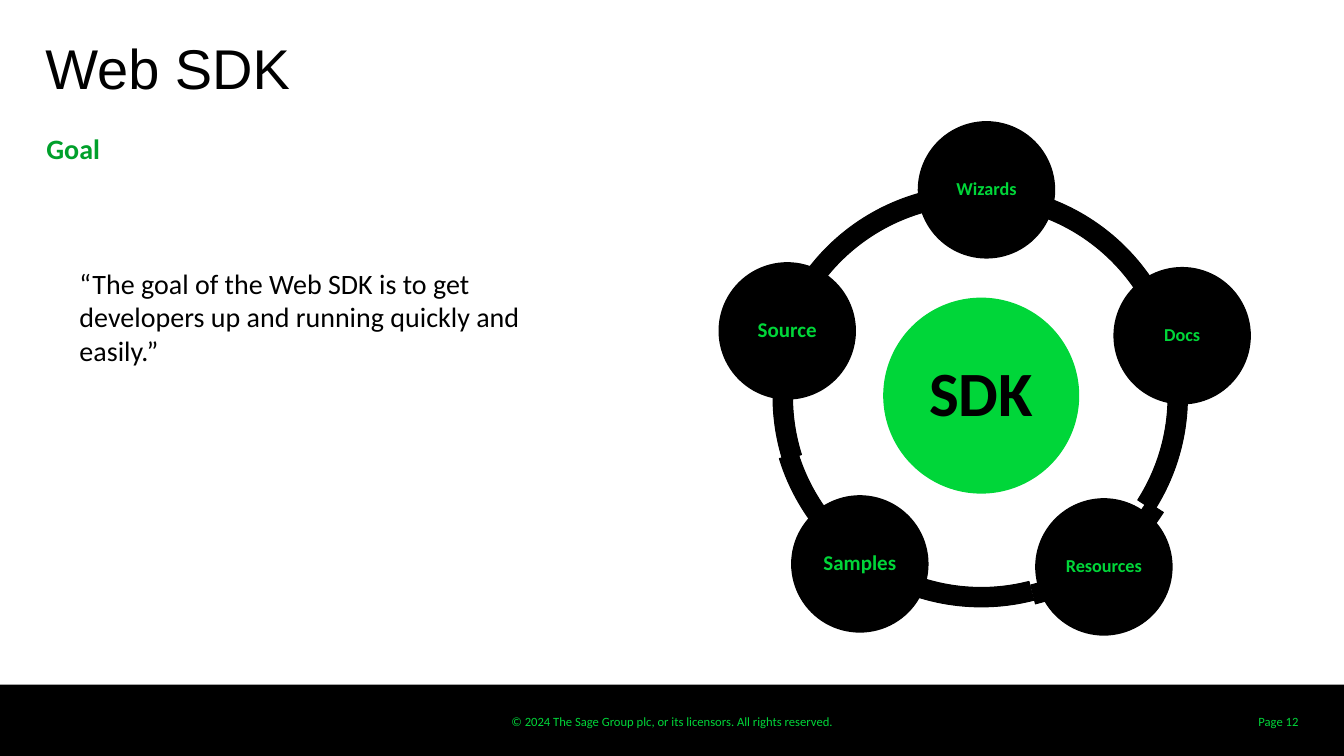
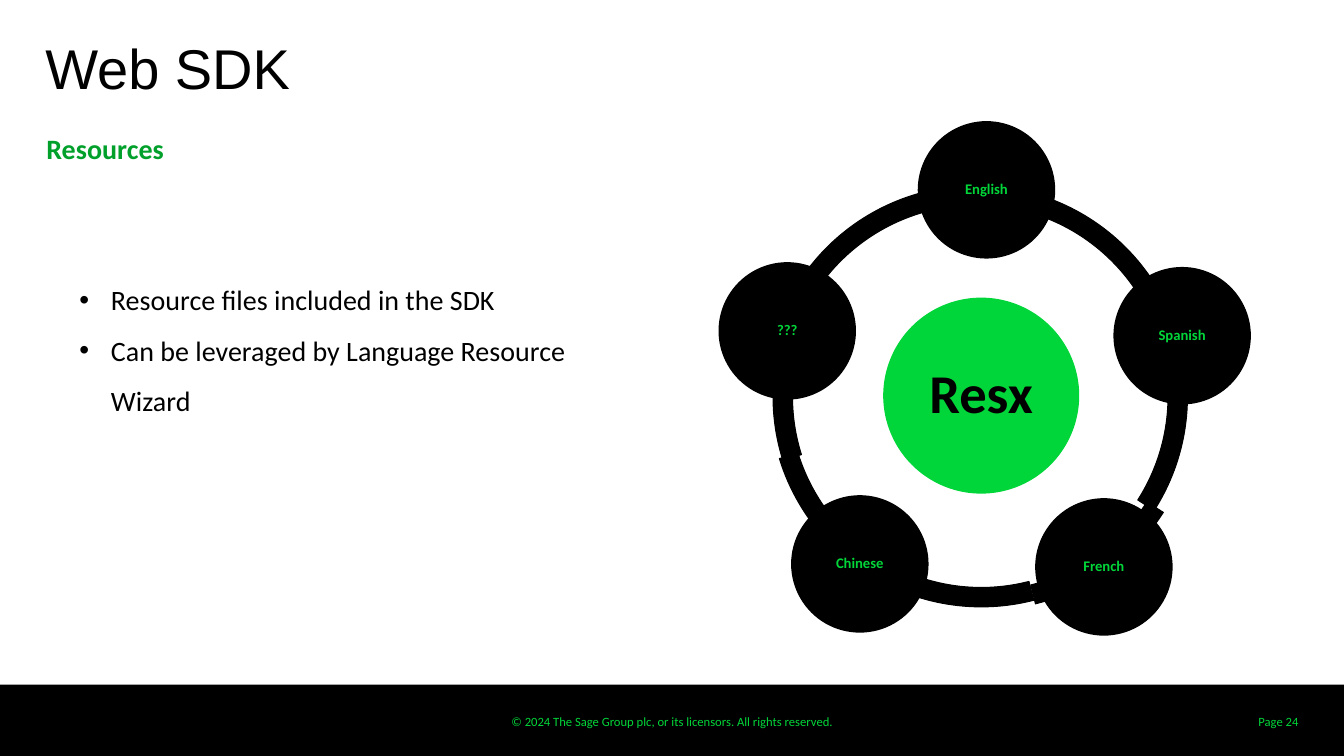
import math

from lxml import etree
from pptx import Presentation
from pptx.dml.color import RGBColor
from pptx.enum import shapes, text
from pptx.oxml import ns
from pptx.util import Pt

COLOURS = {"black": "000000", "bright": "00D639", "heading": "00A02B"}
COPYRIGHT = "© 2024 The Sage Group plc, or its licensors. All rights reserved."
SLIDES = [
    {
        "title": "Web SDK",
        "heading": "Goal",
        "page": "Page 12",
        "body": ["“The goal of the Web SDK is to get developers up and running "
                 "quickly and easily.”"],
        "bullets": False,
        "hub": ("SDK", 45),
        "nodes": [("Wizards", 13), ("Docs", 13), ("Resources", 13),
                  ("Samples", 15), ("Source", 15)],
    },
    {
        "title": "Web SDK",
        "heading": "Resources",
        "page": "Page 24",
        "body": ["Resource files included in the SDK",
                 "Can be leveraged by Language Resource Wizard"],
        "bullets": True,
        "hub": ("Resx", 39),
        "nodes": [("English", 10.5), ("Spanish", 10.5), ("French", 10.5),
                  ("Chinese", 10.5), ("???", 10.5)],
    },
]

TITLE_AREA = (32.4, 23.8, 894, 46.8)
HEADING_AREA = (33.1, 90, 893.5, 34.6)
BAND_AREA = (0, 489, 960, 51)
COPYRIGHT_AREA = (354, 506.2, 252, 18)
PAGE_AREA = (869, 501, 65.5, 28.8)
BODY_AREA = (49.7, 186.5, 382.3, 100)

WHEEL_CENTRE = (702.8, 283.9)
WHEEL_RADIUS = 148.3
FIRST_ANGLE = -89.3
NODE_SIZE = 97.2
HUB_AREA = (631.4, 213.1, 139, 139)
ARC_SIZE = 301.7
ARC_THICKNESS = 0.046
DEGREE = 0.6
ARCS = [
    (550.1, 132.5, 118.93, 162.95),
    (550.1, 131.8, 75.6, 118.8),
    (553, 133.9, 32.59, 76.29),
    (546.5, 132.5, 205.35, 32.61),
    (552.2, 132.5, 162.42, 205.63),
]


def colour(name):
    return RGBColor.from_string(COLOURS[name])


def place(shape, area):
    shape.left, shape.top, shape.width, shape.height = map(Pt, area)


def set_margins(frame, left, top):
    frame.margin_left = frame.margin_right = Pt(left)
    frame.margin_top = frame.margin_bottom = Pt(top)


def set_bullet(para, symbol=None, indent=0):
    properties = para._p.get_or_add_pPr()
    properties.set("marL", str(Pt(indent)))
    properties.set("indent", str(Pt(-indent)))
    if symbol:
        font = etree.SubElement(properties, ns.qn("a:buFont"))
        font.set("typeface", "Arial")
        etree.SubElement(properties, ns.qn("a:buChar")).set("char", symbol)
    else:
        etree.SubElement(properties, ns.qn("a:buNone"))


def style(para, size, ink, bold=False, name="Calibri", align="LEFT", spacing=None):
    para.alignment = getattr(text.PP_ALIGN, align)
    para.space_before = Pt(0)
    if spacing:
        para.line_spacing = spacing
    para.font.name = name
    para.font.size = Pt(size)
    para.font.bold = bold
    para.font.color.rgb = colour(ink)


def add_text(page, area, words, anchor="TOP", **look):
    box = page.shapes.add_textbox(*map(Pt, area))
    frame = box.text_frame
    frame.word_wrap = True
    frame.vertical_anchor = getattr(text.MSO_ANCHOR, anchor)
    frame.text = words
    for para in frame.paragraphs:
        style(para, **look)
    return box


def add_filled(page, preset, area, fill, line_width=0):
    shape = page.shapes.add_shape(preset, *map(Pt, area))
    shape.shadow.inherit = False
    shape.fill.solid()
    shape.fill.fore_color.rgb = colour(fill)
    if line_width:
        shape.line.color.rgb = colour(fill)
        shape.line.width = Pt(line_width)
    else:
        shape.line.fill.background()
    return shape


def add_disc(page, area, label, fill, ink, margin):
    words, size = label
    disc = add_filled(page, shapes.MSO_SHAPE.OVAL, area, fill, 1)
    frame = disc.text_frame
    set_margins(frame, margin, margin)
    frame.vertical_anchor = text.MSO_ANCHOR.MIDDLE
    frame.text = words
    style(frame.paragraphs[0], size, ink, bold=True, align="CENTER", spacing=0.9)


def add_wheel(page, hub, nodes):
    for left, top, start, end in ARCS:
        arc = add_filled(page, shapes.MSO_SHAPE.BLOCK_ARC,
                         (left, top, ARC_SIZE, ARC_SIZE), "black", 0.75)
        for index, value in enumerate((start * DEGREE, end * DEGREE, ARC_THICKNESS)):
            arc.adjustments[index] = value
    add_disc(page, HUB_AREA, hub, "bright", "black", 4)
    for index, label in enumerate(nodes):
        angle = math.radians(FIRST_ANGLE + index * 360 / len(nodes))
        left = WHEEL_CENTRE[0] + WHEEL_RADIUS * math.cos(angle) - NODE_SIZE / 2
        top = WHEEL_CENTRE[1] + WHEEL_RADIUS * math.sin(angle) - NODE_SIZE / 2
        add_disc(page, (left, top, NODE_SIZE, NODE_SIZE), label, "black", "bright", 1.4)


def prepare_layout(layout):
    for holder in list(layout.placeholders):
        if holder.placeholder_format.idx > 1:
            layout.shapes.element.remove(holder.element)
    for holder, area, margin in zip(layout.placeholders,
                                    (TITLE_AREA, HEADING_AREA), (0, 3.6)):
        place(holder, area)
        frame = holder.text_frame
        set_margins(frame, 0, margin)
        frame.vertical_anchor = text.MSO_ANCHOR.TOP
        frame.auto_size = text.MSO_AUTO_SIZE.NONE


def add_footer(layout, page):
    band = add_filled(page, shapes.MSO_SHAPE.RECTANGLE, BAND_AREA, "black")
    notice = add_text(page, COPYRIGHT_AREA, COPYRIGHT, "BOTTOM",
                      size=9, ink="bright", align="CENTER")
    set_margins(notice.text_frame, 0, 3.6)
    for shape in (band, notice):
        layout.shapes.element.append(shape.element)


def fill_page(page, content):
    title, heading = page.shapes.title, page.placeholders[1]
    title.text_frame.text = content["title"]
    style(title.text_frame.paragraphs[0], 40, "black", name="Arial")
    heading.text_frame.text = content["heading"]
    para = heading.text_frame.paragraphs[0]
    set_bullet(para)
    style(para, 20, "heading", bold=True)

    add_text(page, PAGE_AREA, content["page"], "MIDDLE",
             size=9, ink="bright", align="RIGHT")
    add_wheel(page, content["hub"], content["nodes"])

    frame = add_text(page, BODY_AREA, "\n".join(content["body"]),
                     size=20, ink="black").text_frame
    if content["bullets"]:
        for para in frame.paragraphs:
            set_bullet(para, "•", 22.5)
            para.line_spacing = 1.5


def main():
    deck = Presentation()
    deck.slide_width, deck.slide_height = Pt(960), Pt(540)
    layout = deck.slide_layouts[1]
    prepare_layout(layout)
    pages = [deck.slides.add_slide(layout) for _ in SLIDES]
    add_footer(layout, pages[0])
    for page, content in zip(pages, SLIDES):
        fill_page(page, content)
    deck.save("out.pptx")


if __name__ == "__main__":
    main()
